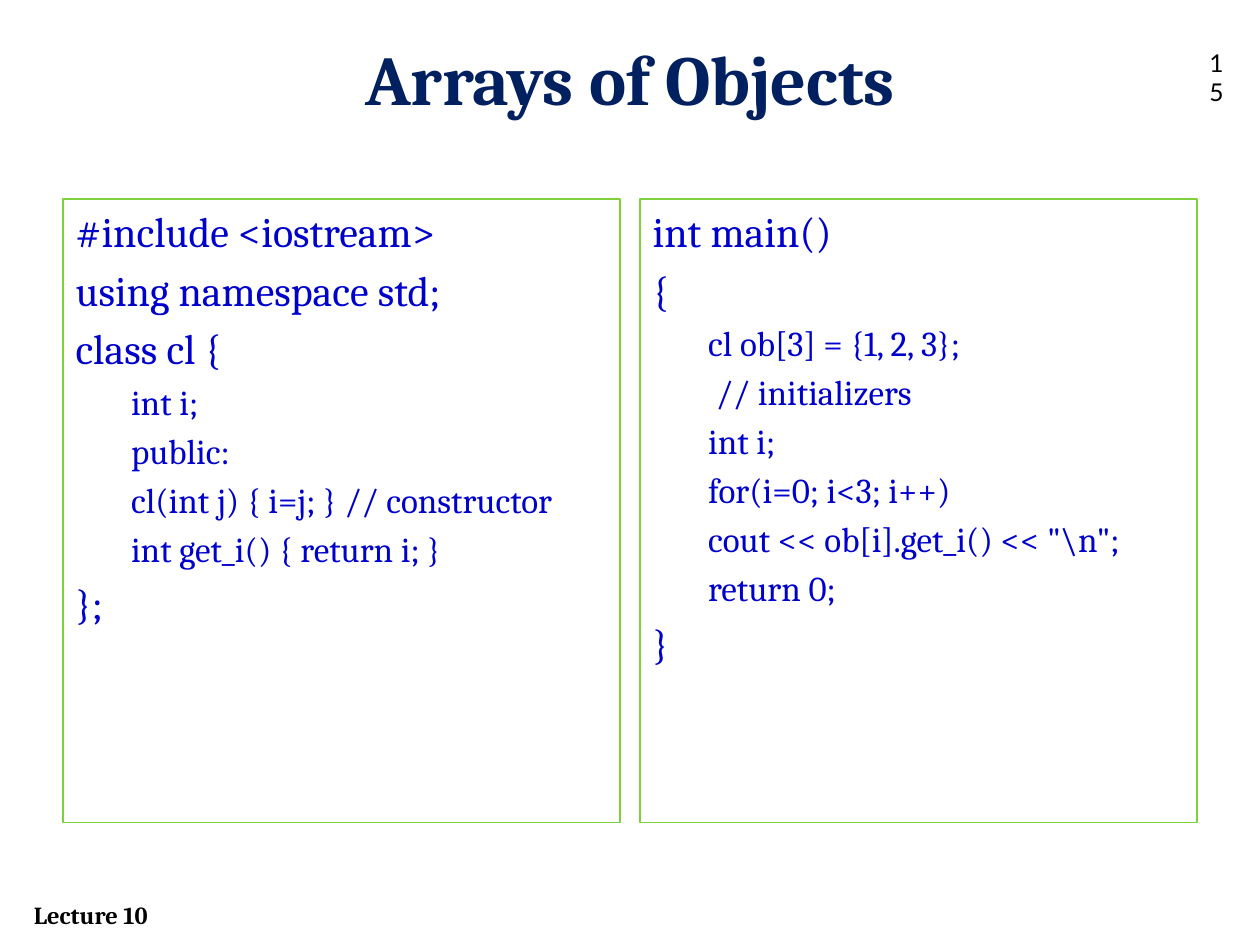
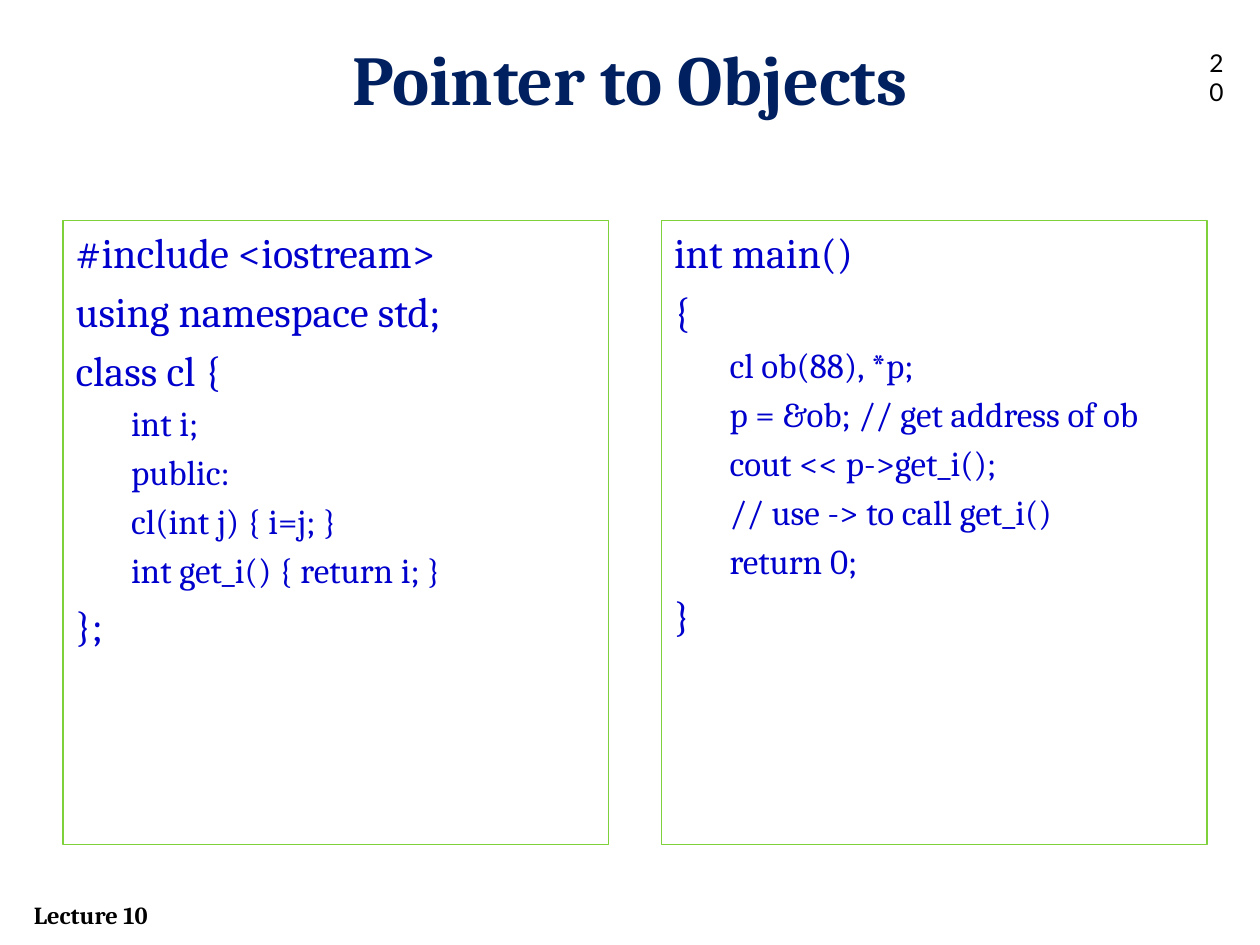
from dataclasses import dataclass

from lxml import etree
from pptx import Presentation
from pptx import util as u
from pptx.dml.color import RGBColor
from pptx.enum import text
from pptx.oxml import ns

CODE_FONT = "Cambria"
NUMBER_FONT = "Lato"
BLACK = "000000"
TITLE_BLUE = "002060"
CODE_BLUE = "0000CC"
BORDER_GREEN = "7FD13B"
MARGIN = 0.5
PANEL_HEIGHT = 4.95
CODE_SIZES = (24, 20)
CODE_INDENT = 0.44
TWO_CONTENT_LAYOUT = 3


@dataclass
class CodeLine:
    content: str
    level: int = 0


@dataclass
class CodeSlide:
    title: str
    number: str
    panel_top: float
    panel_width: float
    panel_gap: float
    panels: tuple[list[CodeLine], list[CodeLine]]


def colour(value: str) -> RGBColor:
    return RGBColor.from_string(value)


def block(opening: list[str], body: list[str], closing: str) -> list[CodeLine]:
    return [
        *(CodeLine(content) for content in opening),
        *(CodeLine(content, 1) for content in body),
        CodeLine(closing),
    ]


def class_code(constructor: str) -> list[CodeLine]:
    return block(
        ["#include <iostream>", "using namespace std;", "class cl {"],
        ["int i;", "public:", constructor, "int get_i() { return i; }"],
        "};",
    )


def main_code(*body: str) -> list[CodeLine]:
    return block(["int main()", "{"], list(body), "}")


CODE_SLIDES = [
    CodeSlide(
        "Arrays of Objects", "15", 1.58, 4.42, 0.16,
        (
            class_code("cl(int j) { i=j; } // constructor"),
            main_code(
                "cl ob[3] = {1, 2, 3};",
                " // initializers",
                "int i;",
                "for(i=0; i<3; i++)",
                'cout << ob[i].get_i() << "\\n";',
                "return 0;",
            ),
        ),
    ),
    CodeSlide(
        "Pointer to Objects", "20", 1.75, 4.33, 0.42,
        (
            class_code("cl(int j) { i=j; }"),
            main_code(
                "cl ob(88), *p;",
                "p = &ob; // get address of ob",
                "cout << p->get_i();",
                "// use -> to call get_i()",
                "return 0;",
            ),
        ),
    ),
]


def place(shape, left: float, top: float, width: float, height: float) -> None:
    shape.left, shape.top = u.Inches(left), u.Inches(top)
    shape.width, shape.height = u.Inches(width), u.Inches(height)


def add_run(paragraph, content: str, size: int, ink: str,
            font: str = CODE_FONT, bold: bool = False) -> None:
    run = paragraph.add_run()
    run.text = content
    run.font.name = font
    run.font.size = u.Pt(size)
    run.font.bold = bold
    run.font.color.rgb = colour(ink)


def add_label(slide, left: float, top: float, width: float, height: float):
    label = slide.shapes.add_textbox(
        u.Inches(left), u.Inches(top), u.Inches(width), u.Inches(height))
    label.text_frame.word_wrap = True
    return label.text_frame


def draw_title(slide, content: str) -> None:
    title = slide.shapes.title
    place(title, MARGIN, 0.23, 9, 0.77)
    title.text_frame.auto_size = text.MSO_AUTO_SIZE.NONE
    paragraph = title.text_frame.paragraphs[0]
    paragraph.alignment = text.PP_ALIGN.CENTER
    add_run(paragraph, content, 40, TITLE_BLUE, bold=True)


def draw_code(panel, lines: list[CodeLine]) -> None:
    panel.line.color.rgb = colour(BORDER_GREEN)
    panel.line.width = u.Pt(0.75)
    frame = panel.text_frame
    frame.auto_size = text.MSO_AUTO_SIZE.NONE
    for index, line in enumerate(lines):
        paragraph = frame.add_paragraph() if index else frame.paragraphs[0]
        paragraph.level = line.level
        properties = paragraph._p.get_or_add_pPr()
        properties.set("marL", str(u.Inches(CODE_INDENT * line.level)))
        properties.set("indent", "0")
        etree.SubElement(properties, ns.qn("a:buNone"))
        if index == 0:
            paragraph.space_before = u.Pt(0)
        add_run(paragraph, line.content, CODE_SIZES[line.level], CODE_BLUE)


def draw_footer(slide) -> None:
    frame = add_label(slide, 0.17, 7.09, 2, 0.34)
    frame.auto_size = text.MSO_AUTO_SIZE.SHAPE_TO_FIT_TEXT
    add_run(frame.paragraphs[0], "Lecture 10", 14, BLACK, bold=True)


def draw_number(slide, number: str) -> None:
    frame = add_label(slide, 9.5, 0.33, 0.42, 0.4)
    add_run(frame.paragraphs[0], number, 14, BLACK, NUMBER_FONT)


def build_slide(presentation, content: CodeSlide) -> None:
    slide = presentation.slides.add_slide(
        presentation.slide_layouts[TWO_CONTENT_LAYOUT])
    draw_title(slide, content.title)
    for column, lines in enumerate(content.panels):
        panel = slide.placeholders[column + 1]
        left = MARGIN + column * (content.panel_width + content.panel_gap)
        place(panel, left, content.panel_top, content.panel_width, PANEL_HEIGHT)
        draw_code(panel, lines)
    draw_footer(slide)
    draw_number(slide, content.number)


def main() -> None:
    presentation = Presentation()
    presentation.slide_width = u.Inches(10)
    presentation.slide_height = u.Inches(7.5)
    for content in CODE_SLIDES:
        build_slide(presentation, content)
    presentation.save("out.pptx")


if __name__ == "__main__":
    main()
